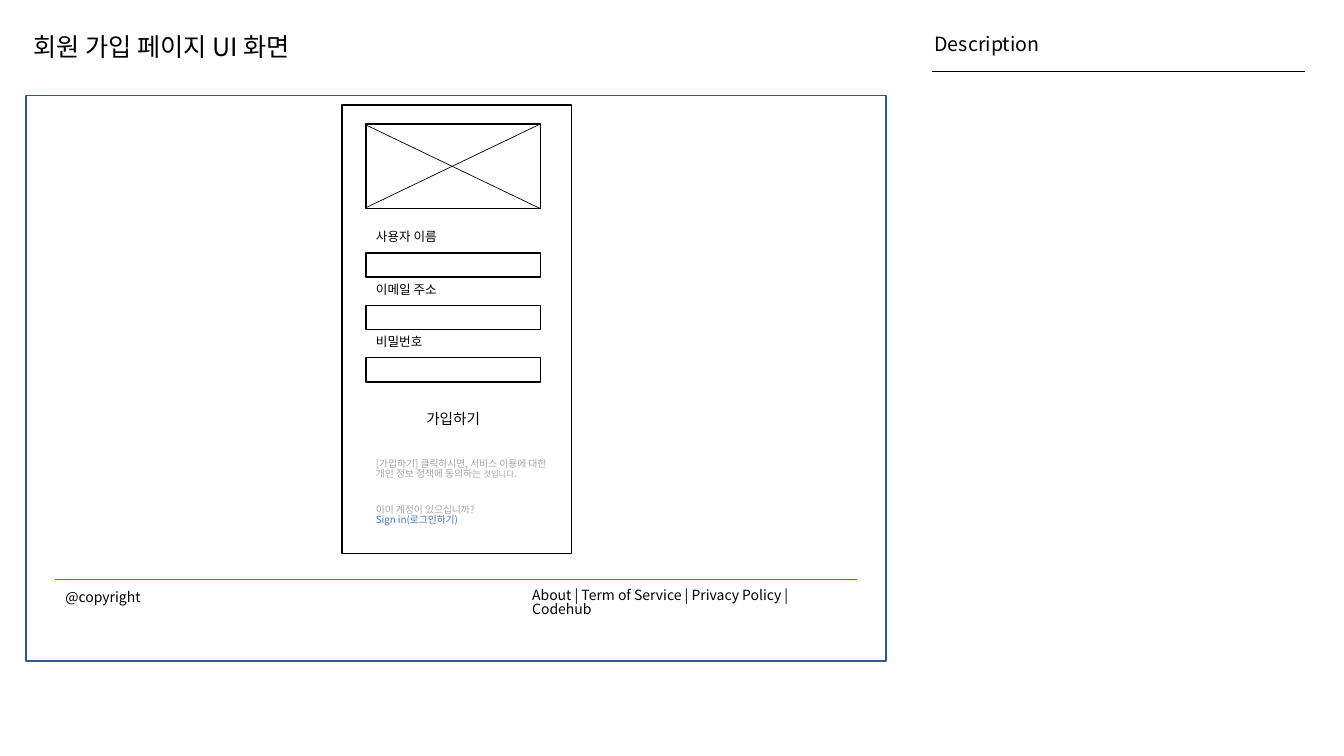
"""Build the wireframe slide of a sign-up page."""
from lxml.etree import SubElement
from pptx import Presentation
from pptx.dml.color import RGBColor
from pptx.enum.shapes import MSO_CONNECTOR, MSO_SHAPE
from pptx.enum.text import MSO_ANCHOR, MSO_AUTO_SIZE, PP_ALIGN
from pptx.oxml.ns import qn
from pptx.util import Inches, Pt

FONT = "Noto Sans CJK KR"
BLACK, WHITE, GREY, BLUE, NAVY = "000000", "FFFFFF", "A6A6A6", "4472C4", "325491"
LEFT, WIDE = 3.63, 1.73

deck = Presentation()
deck.slide_width, deck.slide_height = Inches(13.33), Inches(7.5)
slide = deck.slides.add_slide(deck.slide_layouts[5])
shapes = slide.shapes


def paint(part, color):
    """Set a fill, line or font to a solid hex colour."""
    if hasattr(part, "solid"):
        part.solid()
        part = part.fore_color
    else:
        part = part.color
    part.rgb = RGBColor.from_string(color)


def write(shape, paras, align=PP_ALIGN.LEFT, anchor=MSO_ANCHOR.TOP):
    """Write paragraphs of (text, size, colour) runs into a shape."""
    frame = shape.text_frame
    frame.word_wrap = True
    frame.vertical_anchor = anchor
    frame.margin_left = frame.margin_right = Inches(0.1)
    frame.margin_top = frame.margin_bottom = Inches(0.05)
    for i, runs in enumerate(paras):
        para = frame.add_paragraph() if i else frame.paragraphs[0]
        para.alignment = align
        para.line_spacing = 0.83
        for text, size, color in runs:
            run = para.add_run()
            run.text = text
            run.font.size = Pt(size)
            run.font.name = FONT
            paint(run.font, color)
            SubElement(run.font._element, qn("a:ea"), typeface=FONT)


title = shapes.title
title.left, title.top = Inches(0.23), Inches(0.31)
title.width, title.height = Inches(4.36), Inches(0.4)
write(title, [[("회원 가입 페이지 UI 화면", 18, BLACK)]])
title.text_frame.auto_size = MSO_AUTO_SIZE.NONE

labels = ["사용자 이름", "이메일 주소", "비밀번호"]
rows = [2.25 + 0.52 * i for i in range(len(labels))]

boxes = [
    (0.26, 0.95, 8.53, 5.61, None, NAVY),
    (3.39, 1.04, 2.28, 4.45, WHITE, BLACK),
    (LEFT, 1.23, WIDE, 0.84, None, BLACK),
    *[(LEFT, y + 0.26, WIDE, 0.24, None, BLACK) for y in rows],
    (LEFT, 4.05, WIDE, 0.24, WHITE, None),
]
for x, y, w, h, fill, edge in boxes:
    box = shapes.add_shape(MSO_SHAPE.RECTANGLE, Inches(x), Inches(y), Inches(w), Inches(h))
    box.shadow.inherit = False
    if fill:
        paint(box.fill, fill)
    else:
        box.fill.background()
    if edge:
        paint(box.line, edge)
        box.line.width = Pt(1)
    else:
        box.line.fill.background()
write(box, [[("가입하기", 10.5, BLACK)]], PP_ALIGN.CENTER, MSO_ANCHOR.MIDDLE)

lines = [
    (LEFT, 2.06, LEFT + WIDE, 1.23, BLACK),
    (LEFT + WIDE, 2.07, LEFT, 1.24, BLACK),
    (0.55, 5.75, 8.5, 5.75, BLUE),
    (9.24, 0.71, 12.94, 0.71, BLACK),
]
for x1, y1, x2, y2, color in lines:
    line = shapes.add_connector(
        MSO_CONNECTOR.STRAIGHT, Inches(x1), Inches(y1), Inches(x2), Inches(y2))
    paint(line.line, color)
    line.line.width = Pt(0.5)
    SubElement(line._element.spPr, qn("a:effectLst"))

terms = [[("[가입하기] 클릭하시면, 서비스 이용에 대한 개인 정보 정책에 동의하는 ", 7, GREY),
          ("것입니다", 6, GREY), (".", 7, GREY)]]
login = [[("이미 계정이 있으십니까? ", 7, GREY)], [("Sign in(로그인하기)", 7, BLUE)]]
links = "About | Term of Service | Privacy Policy | Codehub"
texts = [
    *[(LEFT, y, 1.15, 0.25, [[(label, 9, BLACK)]]) for y, label in zip(rows, labels)],
    (LEFT, 4.51, 1.91, 0.47, terms),
    (LEFT, 4.97, 2.03, 0.34, login),
    (0.55, 5.82, 1.25, 0.27, [[("@copyright", 10, BLACK)]]),
    (5.18, 5.8, 3.31, 0.27, [[(links, 10, BLACK)]]),
    (9.17, 0.31, 1.91, 0.34, [[("Description", 14, BLACK)]]),
]
for x, y, w, h, paras in texts:
    note = shapes.add_textbox(Inches(x), Inches(y), Inches(w), Inches(h))
    write(note, paras)
    note.text_frame.auto_size = MSO_AUTO_SIZE.SHAPE_TO_FIT_TEXT

deck.save("out.pptx")
